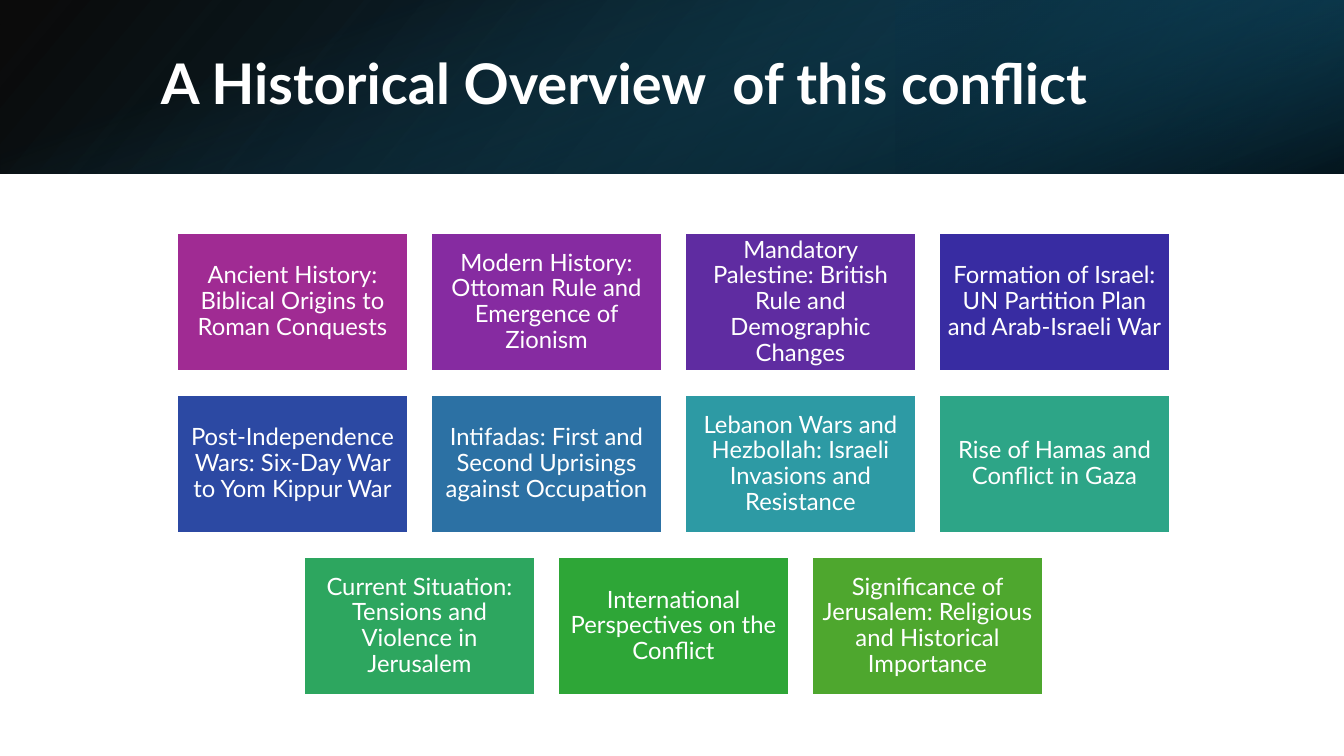
from lxml.etree import SubElement
from pptx import Presentation
from pptx.dml.color import RGBColor
from pptx.enum.shapes import MSO_SHAPE
from pptx.enum.text import MSO_ANCHOR, PP_ALIGN
from pptx.oxml.ns import qn
from pptx.util import Pt

EMU_PER_PX = 914400 / 100.8
PAGE_WIDTH, PAGE_HEIGHT = 1344, 756
BAND_HEIGHT = 174
TILE_WIDTH, TILE_HEIGHT = 231, 138
TILE_STEP_X, TILE_STEP_Y = 254, 162
GRID_TOP, GRID_CENTER_TWICE = 233, 1347
FONT = "Lato"
COLORS = {
    "white": "FFFFFF",
    "black": "000000",
    "navy": "104862",
    "deep": "0B3041",
    "teal": "156082",
}
TOPIC_ROWS = [
    [
        ("Ancient History: Biblical Origins to Roman Conquests", "A02B93"),
        ("Modern History: Ottoman Rule and Emergence of Zionism", "862BA1"),
        ("Mandatory Palestine: British Rule and Demographic Changes", "5F2CA1"),
        ("Formation of Israel: UN Partition Plan and Arab-Israeli War", "382CA2"),
    ],
    [
        ("Post-Independence Wars: Six-Day War to Yom Kippur War", "2C49A3"),
        ("Intifadas: First and Second Uprisings against Occupation", "2C71A4"),
        ("Lebanon Wars and Hezbollah: Israeli Invasions and Resistance", "2D9AA4"),
        ("Rise of Hamas and Conflict in Gaza", "2DA587"),
    ],
    [
        ("Current Situation: Tensions and Violence in Jerusalem", "2DA65F"),
        ("International Perspectives on the Conflict", "2EA637"),
        ("Significance of Jerusalem: Religious and Historical Importance", "4EA72E"),
    ],
]


def px(length):
    """Turn pixels into EMU."""
    return round(length * EMU_PER_PX)


def add_rectangle(page, left, top, width, height):
    """Add a rectangle without a shadow."""
    box = page.shapes.add_shape(
        MSO_SHAPE.RECTANGLE, px(left), px(top), px(width), px(height)
    )
    box.shadow.inherit = False
    return box


def add_gradient_band(page, frame, stops, angle, rotation=0, flip=False):
    """Add a borderless rectangle with a translucent linear gradient."""
    band = add_rectangle(page, *frame)
    band.line.fill.background()
    band.rotation = rotation
    band.fill.gradient()
    properties = band.element.spPr
    if flip:
        properties.find(qn("a:xfrm")).set("flipH", "1")
    gradient = properties.find(qn("a:gradFill"))
    for child in list(gradient):
        gradient.remove(child)
    gradient.set("rotWithShape", "1")
    stop_list = SubElement(gradient, qn("a:gsLst"))
    for position, color, opacity in stops:
        stop = SubElement(stop_list, qn("a:gs"), pos=str(position * 1000))
        tint = SubElement(stop, qn("a:srgbClr"), val=COLORS[color])
        SubElement(tint, qn("a:alpha"), val=str(opacity * 1000))
    SubElement(gradient, qn("a:lin"), ang=str(angle * 60000), scaled="0")


def write_text(box, text, size, align, bold=False):
    """Fill a box with one white, vertically centred paragraph."""
    frame = box.text_frame
    frame.word_wrap = True
    frame.vertical_anchor = MSO_ANCHOR.MIDDLE
    frame.text = text
    para = frame.paragraphs[0]
    para.alignment = align
    para.line_spacing = 0.9
    span = para.runs[0]
    span.font.name = FONT
    span.font.size = Pt(size)
    span.font.bold = bold
    span.font.color.rgb = RGBColor.from_string(COLORS["white"])


def add_header(page):
    """Add the layered gradient header and its title."""
    add_gradient_band(
        page, (0, 0, PAGE_WIDTH, BAND_HEIGHT),
        [(0, "black", 96), (100, "navy", 100)], 140, flip=True,
    )
    add_gradient_band(
        page, (896, 0, 448, BAND_HEIGHT),
        [(19, "deep", 68), (100, "teal", 79)], 320, rotation=180, flip=True,
    )
    offset = (PAGE_WIDTH - BAND_HEIGHT) // 2
    add_gradient_band(
        page, (offset, -offset, BAND_HEIGHT, PAGE_WIDTH),
        [(23, "teal", 0), (99, "black", 74)], 340, rotation=90,
    )
    title = page.shapes.add_textbox(px(151), px(38), px(1107), px(97))
    write_text(title, "A Historical Overview  of this conflict", 40, PP_ALIGN.LEFT, True)


def add_tile(page, left, top, text, color):
    """Add one coloured topic tile."""
    tile = add_rectangle(page, left, top, TILE_WIDTH, TILE_HEIGHT)
    tile.fill.solid()
    tile.fill.fore_color.rgb = RGBColor.from_string(color)
    tile.line.color.rgb = RGBColor.from_string(COLORS["white"])
    tile.line.width = Pt(1.5)
    frame = tile.text_frame
    frame.margin_left = frame.margin_right = px(7)
    frame.margin_top = frame.margin_bottom = px(7)
    write_text(tile, text, 17, PP_ALIGN.CENTER)


def add_topics(page):
    """Lay out the topic tiles in centred rows."""
    for row, topics in enumerate(TOPIC_ROWS):
        row_width = (len(topics) - 1) * TILE_STEP_X + TILE_WIDTH
        row_left = (GRID_CENTER_TWICE - row_width) // 2
        top = GRID_TOP + row * TILE_STEP_Y
        for column, (text, color) in enumerate(topics):
            add_tile(page, row_left + column * TILE_STEP_X, top, text, color)


def main():
    """Build and save the slide."""
    deck = Presentation()
    deck.slide_width, deck.slide_height = px(PAGE_WIDTH), px(PAGE_HEIGHT)
    page = deck.slides.add_slide(deck.slide_layouts[6])
    add_header(page)
    add_topics(page)
    deck.save("out.pptx")


if __name__ == "__main__":
    main()
